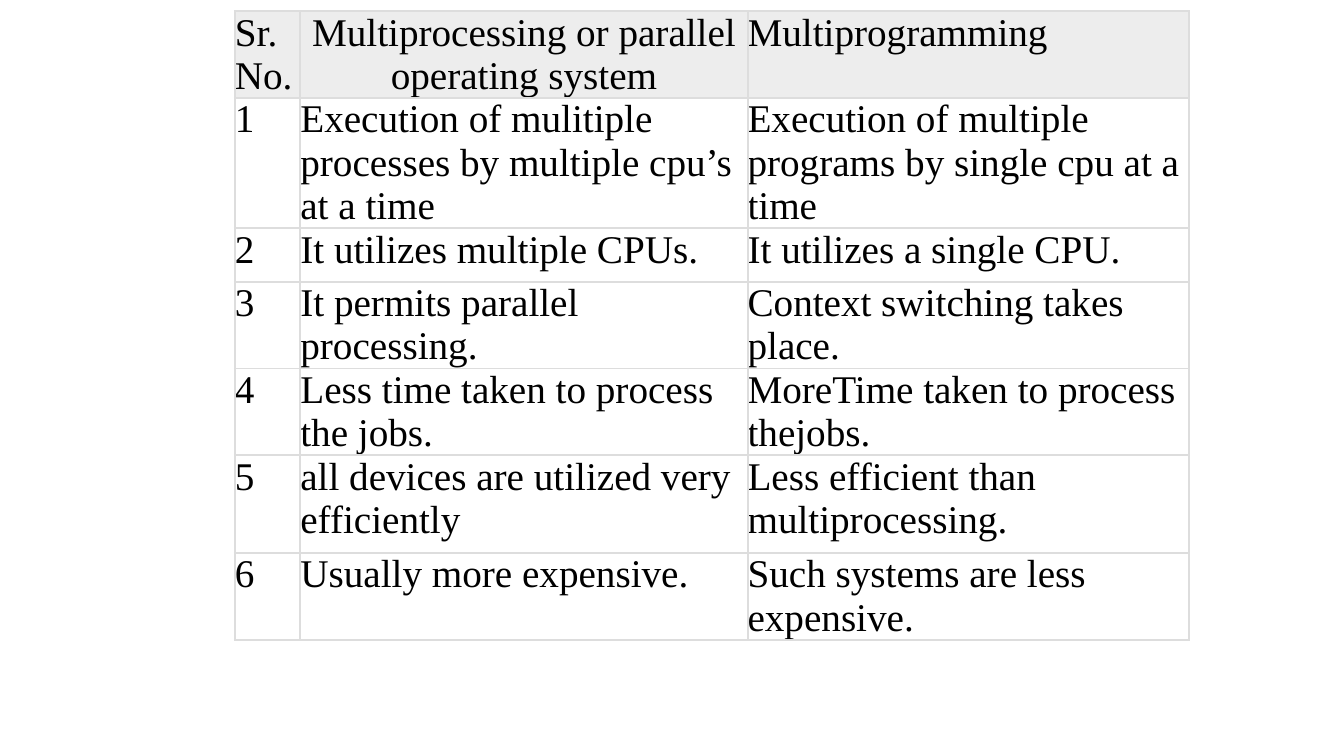
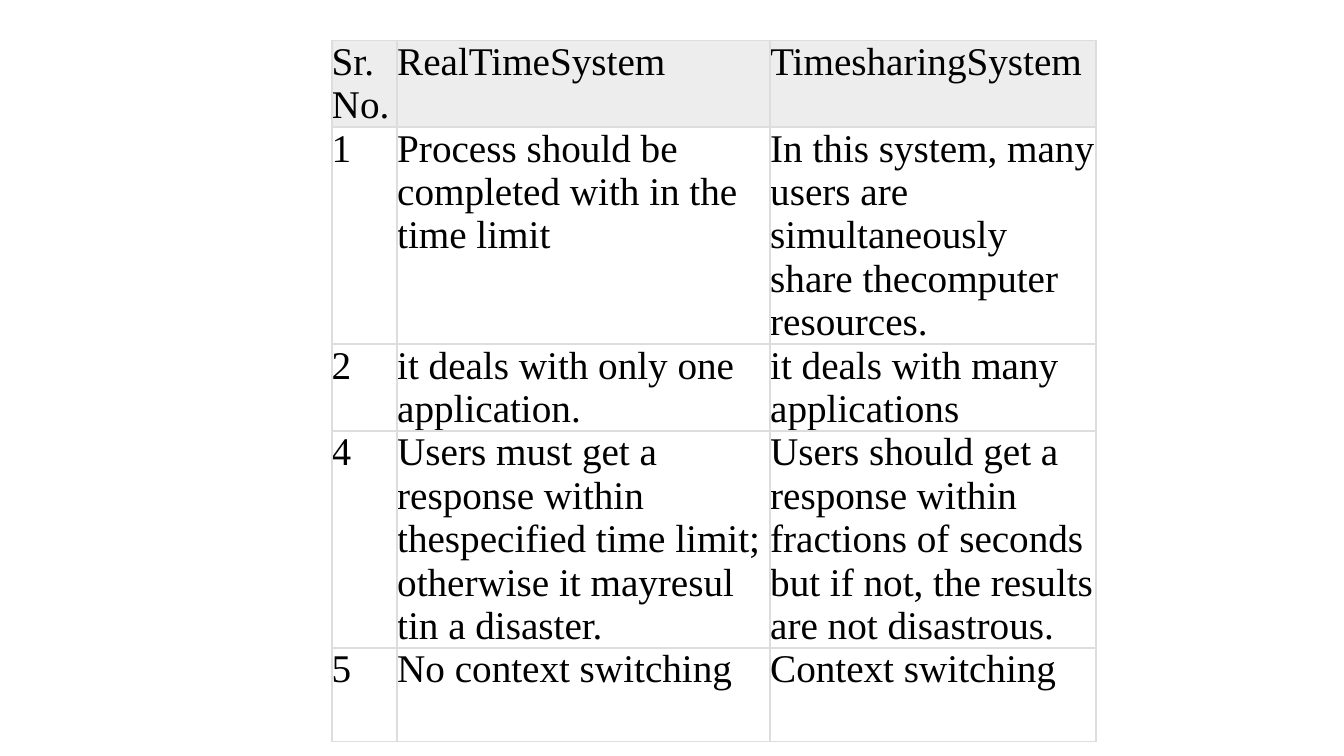
from dataclasses import dataclass

from lxml.etree import SubElement
from pptx import Presentation
from pptx.dml.color import RGBColor
from pptx.enum.text import PP_ALIGN
from pptx.oxml.ns import qn
from pptx.util import Cm, Pt


@dataclass(frozen=True)
class Theme:
    font: str = "Times New Roman"
    size: int = 28
    text: str = "000000"
    header: str = "EDEDED"
    border: str = "DDDDDD"
    border_width: float = 1.5


THEME = Theme()

PROCESSING_ROWS = [
    ("Sr.No.", "Multiprocessing or parallel operating system", "Multiprogramming"),
    ("1", "Execution of mulitiple processes by multiple cpu’s at a time",
     "Execution of multiple programs by single cpu at a time"),
    ("2", "It utilizes multiple CPUs.", "It utilizes a single CPU."),
    ("3", "It permits parallel processing.", "Context switching takes place."),
    ("4", "Less time taken to process the jobs.", "MoreTime taken to process thejobs."),
    ("5", "all devices are utilized very efficiently",
     "Less efficient than multiprocessing."),
    ("6", "Usually more expensive.", "Such systems are less expensive."),
]

TIMING_ROWS = [
    ("Sr.No.", "RealTimeSystem", "TimesharingSystem"),
    ("1", "Process should be completed with in the time limit",
     "In this system, many users are simultaneously share thecomputer resources."),
    ("2", "it deals with only one application.", "it deals with many applications"),
    ("4", "Users must get a response within thespecified time limit; "
     "otherwise it mayresul tin a disaster.",
     "Users should get a response within fractions of seconds "
     "but if not, the results are not disastrous."),
    ("5", "No context switching", "Context switching"),
]


def add_borders(cell):
    properties = cell._tc.get_or_add_tcPr()
    for side in ("a:lnL", "a:lnR", "a:lnT", "a:lnB"):
        line = SubElement(properties, qn(side), w=str(Pt(THEME.border_width)))
        fill = SubElement(line, qn("a:solidFill"))
        SubElement(fill, qn("a:srgbClr"), val=THEME.border)


def fill_cell(cell, text, is_header):
    cell.margin_left = cell.margin_right = cell.margin_top = cell.margin_bottom = 0
    add_borders(cell)
    if is_header:
        cell.fill.solid()
        cell.fill.fore_color.rgb = RGBColor.from_string(THEME.header)
    else:
        cell.fill.background()
    cell.text_frame.text = text
    font = cell.text_frame.paragraphs[0].runs[0].font
    font.name = THEME.font
    font.size = Pt(THEME.size)
    font.color.rgb = RGBColor.from_string(THEME.text)


def add_comparison(slide, rows, left, top, widths, heights):
    """Add a table with a shaded header; positions and sizes are in cm."""
    table = slide.shapes.add_table(
        len(rows), len(widths), Cm(left), Cm(top), Cm(sum(widths)), Cm(sum(heights))
    ).table
    table.first_row = table.horz_banding = False
    for column, width in zip(table.columns, widths):
        column.width = Cm(width)
    for row_index, (row, height, texts) in enumerate(zip(table.rows, heights, rows)):
        row.height = Cm(height)
        for cell, text in zip(row.cells, texts):
            fill_cell(cell, text, is_header=row_index == 0)
    return table


def main():
    presentation = Presentation()
    presentation.slide_width = Cm(33.87)
    presentation.slide_height = Cm(19.05)
    blank = presentation.slide_layouts[6]

    processing = add_comparison(
        presentation.slides.add_slide(blank), PROCESSING_ROWS, left=5.92, top=0.28,
        widths=(1.65, 11.27, 11.12), heights=(1.5, 2.46, 1.35, 1.32, 1.9, 2.46, 1.35),
    )
    processing.cell(0, 1).text_frame.paragraphs[0].alignment = PP_ALIGN.CENTER

    add_comparison(
        presentation.slides.add_slide(blank), TIMING_ROWS, left=8.36, top=1.02,
        widths=(1.65, 9.4, 8.22), heights=(1.35, 2.51, 1.93, 2.51, 2.36),
    )
    presentation.save("out.pptx")


if __name__ == "__main__":
    main()
